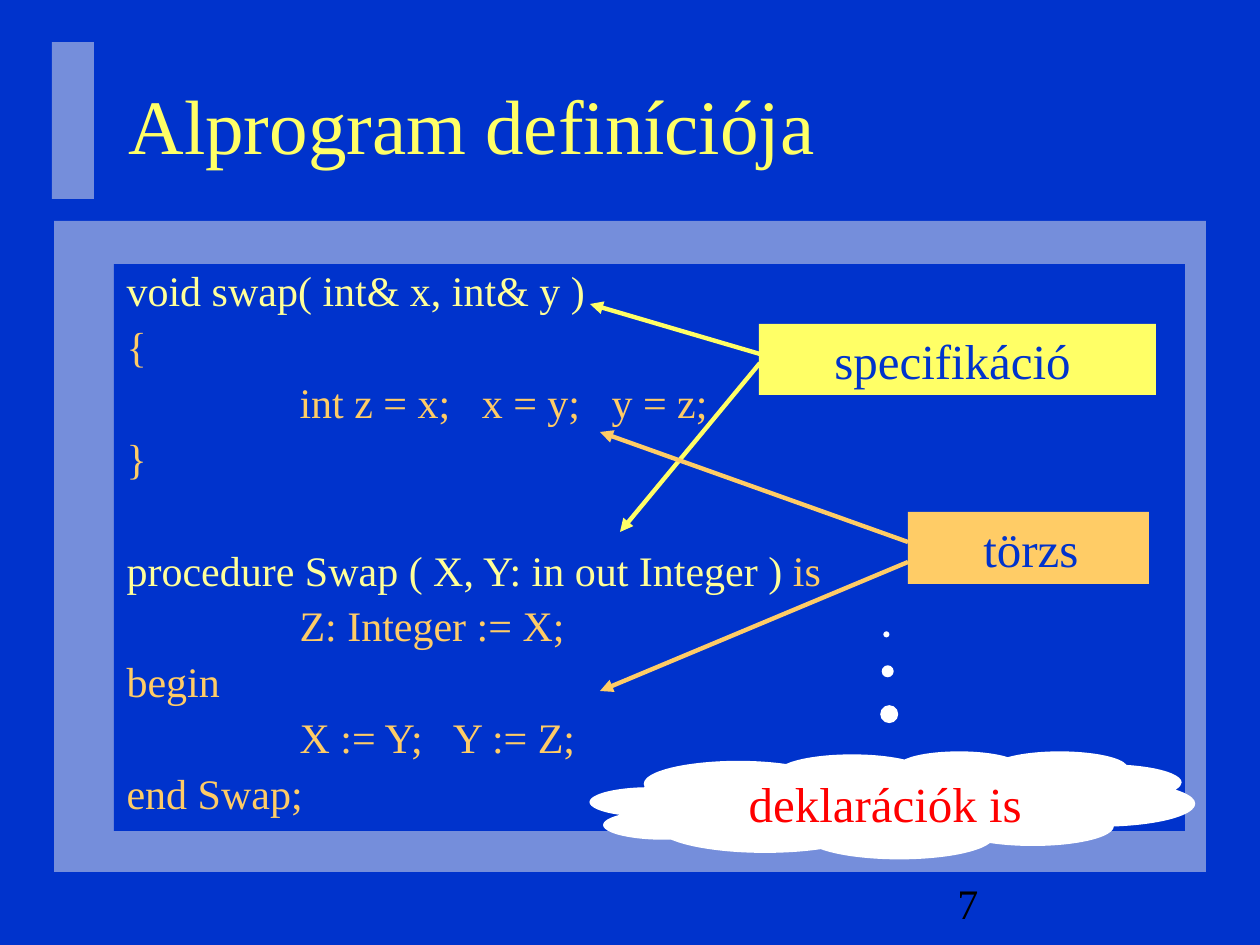
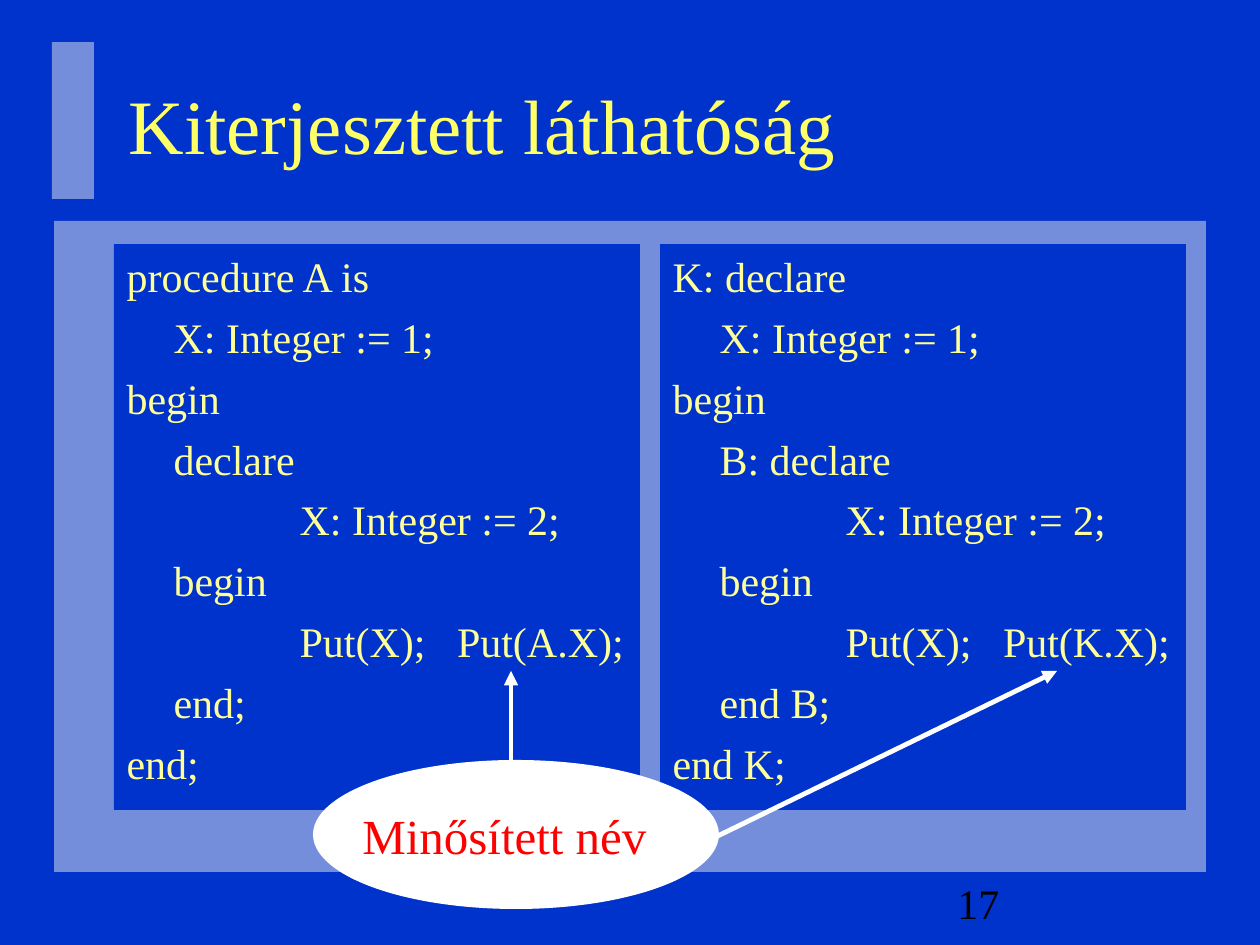
from typing import NamedTuple

from lxml import etree
from pptx import Presentation
from pptx.dml.color import RGBColor
from pptx.enum.shapes import MSO_CONNECTOR, MSO_SHAPE
from pptx.enum.text import MSO_ANCHOR, MSO_AUTO_SIZE, PP_ALIGN
from pptx.oxml.ns import qn
from pptx.util import Emu, Pt

RECT, OVAL, CLOUD = MSO_SHAPE.RECTANGLE, MSO_SHAPE.OVAL, MSO_SHAPE.CLOUD_CALLOUT
STRAIGHT = MSO_CONNECTOR.STRAIGHT
TOP, MIDDLE = MSO_ANCHOR.TOP, MSO_ANCHOR.MIDDLE
LEFT, CENTER = PP_ALIGN.LEFT, PP_ALIGN.CENTER
NO_FIT = MSO_AUTO_SIZE.NONE

# Shared look
PX_PER_INCH = 126
FONT = "Times New Roman"
BLUE, WHITE, RED, BLACK = "0033CC", "FFFFFF", "FF0000", "000000"
YELLOW, PALE, ORANGE, BAND = "FFFF66", "FFFF99", "FFCC66", "EAEAEA"
INDENTS = (0, 47, 173)       # code indentation by level
FIRST_GAP, LINE_GAP, BLANK_GAP = 3, 6, 38


class Box(NamedTuple):
    x: int
    y: int
    w: int
    h: int


class Line(NamedTuple):
    """One line of code, with an optional ending in orange."""
    text: str
    level: int = 0
    color: str = PALE
    gap: float = LINE_GAP
    ending: str = ""


class Label(NamedTuple):
    kind: int
    box: Box
    text: str
    fill: str
    color: str


class Arrow(NamedTuple):
    x1: int
    y1: int
    x2: int
    y2: int
    color: str
    width: float


BANDS = (Box(54, 221, 1152, 651), Box(52, 42, 42, 157))
TITLE_BOX = Box(116, 48, 1071, 152)
NUMBER_BOX = Box(945, 871, 262, 63)


def px(n: float) -> Emu:
    return Emu(round(n * 914400 / PX_PER_INCH))


def rgb(color: str) -> RGBColor:
    return RGBColor.from_string(color)


def place(sp, box: Box) -> None:
    sp.left, sp.top, sp.width, sp.height = map(px, box)


def paint(sp, color: str) -> None:
    sp.fill.solid()
    sp.fill.fore_color.rgb = rgb(color)


def add_block(s, kind, box: Box, color: str):
    sp = s.shapes.add_shape(kind, *map(px, box))
    sp.shadow.inherit = False
    paint(sp, color)
    sp.line.fill.background()
    return sp


def add_run(p, text: str, size: int, color: str) -> None:
    r = p.add_run()
    r.text = text
    r.font.name, r.font.size = FONT, Pt(size)
    r.font.color.rgb = rgb(color)


def set_frame(tf, anchor) -> None:
    tf.word_wrap = True
    tf.auto_size = NO_FIT
    tf.vertical_anchor = anchor


def indent_first(p, indent: int) -> None:
    """Indent the first line and drop the bullet."""
    pPr = p._p.get_or_add_pPr()
    pPr.set("marL", "0")
    pPr.set("indent", str(px(indent)))
    etree.SubElement(pPr, qn("a:buNone"))


def start_slide(prs, layout: int, title: str, number: str):
    s = prs.slides.add_slide(prs.slide_layouts[layout])
    # Half-transparent bands go behind the placeholders
    for i, box in enumerate(BANDS):
        sp = add_block(s, RECT, box, BAND)
        fill_color = sp._element.spPr.find(qn("a:solidFill"))[0]
        etree.SubElement(fill_color, qn("a:alpha"), val="50000")
        s.shapes._spTree.insert(2 + i, sp._element)
    # Title
    place(s.shapes.title, TITLE_BOX)
    tf = s.shapes.title.text_frame
    set_frame(tf, MIDDLE)
    tf.paragraphs[0].alignment = LEFT
    add_run(tf.paragraphs[0], title, 44, YELLOW)
    # Slide number
    tf = s.shapes.add_textbox(*map(px, NUMBER_BOX)).text_frame
    set_frame(tf, MIDDLE)
    add_run(tf.paragraphs[0], number, 24, BLACK)
    return s


def fill_code(sp, box: Box, lines: list[Line], spacing: float) -> None:
    place(sp, box)
    paint(sp, BLUE)
    tf = sp.text_frame
    set_frame(tf, TOP)
    for i, line in enumerate(lines):
        p = tf.add_paragraph() if i else tf.paragraphs[0]
        p.line_spacing = spacing
        p.space_before = Pt(line.gap if i else FIRST_GAP)
        indent_first(p, INDENTS[line.level])
        add_run(p, line.text, 24, line.color)
        if line.ending:
            add_run(p, line.ending, 24, ORANGE)


def add_label(s, label: Label):
    sp = add_block(s, label.kind, label.box, label.fill)
    tf = sp.text_frame
    set_frame(tf, TOP)
    p = tf.paragraphs[0]
    p.alignment = LEFT
    p.space_before = Pt(FIRST_GAP)
    indent_first(p, 63)
    add_run(p, label.text, 28, label.color)
    return sp


def add_arrow(s, a: Arrow) -> None:
    cx = s.shapes.add_connector(STRAIGHT, px(a.x1), px(a.y1), px(a.x2), px(a.y2))
    cx.line.color.rgb = rgb(a.color)
    cx.line.width = Pt(a.width)
    etree.SubElement(cx.line._get_or_add_ln(), qn("a:tailEnd"), type="triangle")
    etree.SubElement(cx._element.spPr, qn("a:effectLst"))


def build_definition(prs) -> None:
    s = start_slide(prs, 1, "Alprogram definíciója", "7")
    lines = [
        Line("void swap( int& x, int& y )"),
        Line("{", 0, ORANGE),
        Line("int z = x;   x = y;   y = z;", 2, ORANGE),
        Line("}", 0, ORANGE),
        Line("procedure Swap ( X, Y: in out Integer ) ", gap=BLANK_GAP, ending="is"),
        Line("Z: Integer := X;", 2, ORANGE),
        Line("begin", 0, ORANGE),
        Line("X := Y;   Y := Z;", 2, ORANGE),
        Line("end Swap;", 0, ORANGE),
    ]
    fill_code(s.placeholders[1], Box(114, 264, 1071, 567), lines, 0.9)

    # Labels for the two parts and their arrows
    add_label(s, Label(RECT, Box(759, 324, 397, 71), "specifikáció", YELLOW, BLUE))
    add_label(s, Label(RECT, Box(908, 512, 241, 72), "törzs", ORANGE, BLUE))
    for ends, color in (
        ((760, 354, 590, 304), YELLOW),
        ((760, 363, 620, 532), YELLOW),
        ((908, 542, 600, 432), ORANGE),
        ((908, 562, 600, 691), ORANGE),
    ):
        add_arrow(s, Arrow(*ends, color, 2.5))

    # Thought bubble
    cloud = add_label(s, Label(CLOUD, Box(590, 751, 605, 108), "deklarációk is", WHITE, RED))
    cloud.adjustments[0], cloud.adjustments[1] = -0.01, -1.58


def build_visibility(prs) -> None:
    s = start_slide(prs, 3, "Kiterjesztett láthatóság", "17")
    columns = (
        ("procedure A is", "declare", "A.X", "end;", "end;"),
        ("K: declare", "B: declare", "K.X", "end B;", "end K;"),
    )
    for i, (head, inner, name, inner_end, end) in enumerate(columns):
        lines = [
            Line(head),
            Line("X: Integer := 1;", 1),
            Line("begin"),
            Line(inner, 1),
            Line("X: Integer := 2;", 2),
            Line("begin", 1),
            Line(f"Put(X);   Put({name});", 2),
            Line(inner_end, 1),
            Line(end),
        ]
        fill_code(s.placeholders[1 + i], Box(114 + 546 * i, 244, 526, 566), lines, 1.0)

    # Ellipse pointing at the qualified names
    oval = add_block(s, OVAL, Box(313, 760, 406, 149), WHITE)
    tf = oval.text_frame
    set_frame(tf, MIDDLE)
    tf.word_wrap = False
    tf.margin_left, tf.margin_right = 0, px(23)
    p = tf.paragraphs[0]
    p.alignment = CENTER
    p.space_before = Pt(FIRST_GAP)
    add_run(p, "Minősített név", 28, RED)
    add_arrow(s, Arrow(511, 790, 511, 671, WHITE, 2.75))
    add_arrow(s, Arrow(689, 850, 1057, 671, WHITE, 2.75))


def main() -> None:
    prs = Presentation()
    prs.slide_width, prs.slide_height = px(1260), px(945)
    bg = prs.slide_master.background.fill
    bg.solid()
    bg.fore_color.rgb = rgb(BLUE)
    build_definition(prs)
    build_visibility(prs)
    prs.save("out.pptx")


if __name__ == "__main__":
    main()
